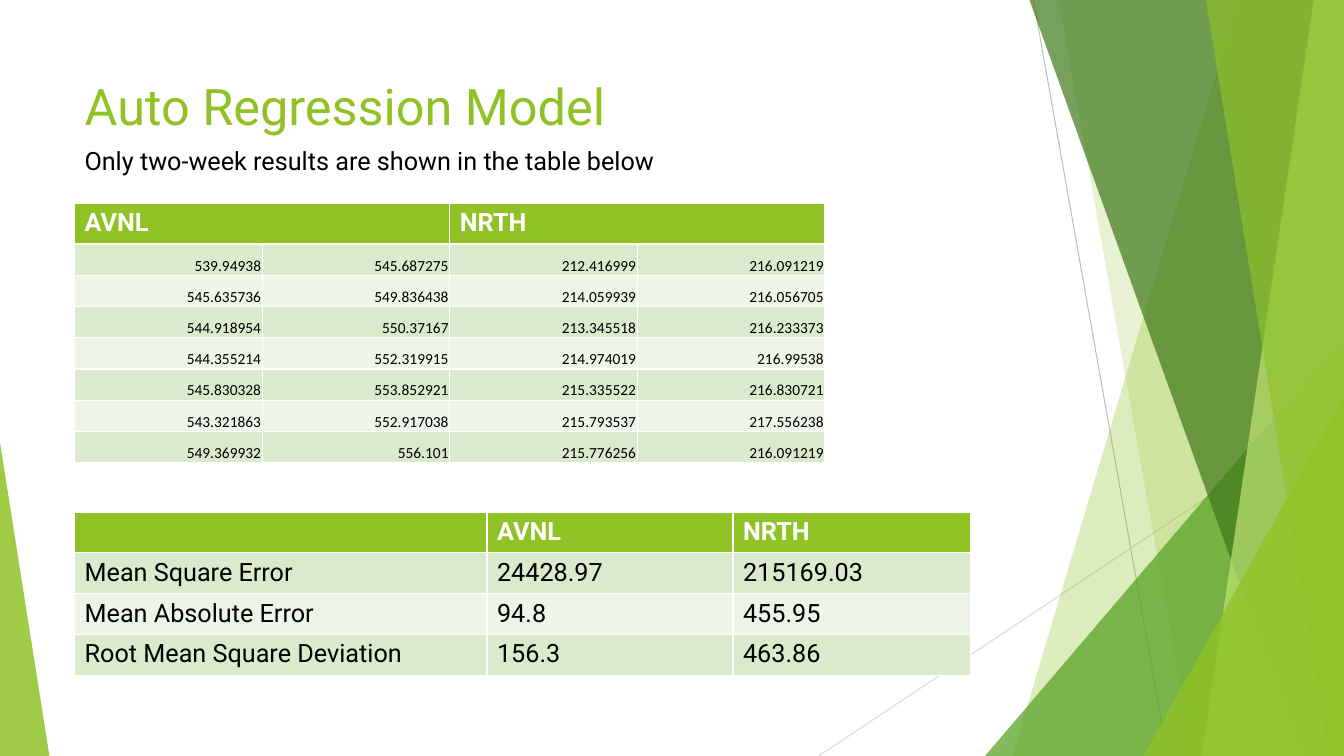
from lxml.etree import SubElement
from pptx import Presentation
from pptx.dml.color import RGBColor
from pptx.enum.shapes import MSO_CONNECTOR, MSO_SHAPE
from pptx.enum.text import MSO_ANCHOR, PP_ALIGN
from pptx.oxml.ns import qn
from pptx.util import Inches, Pt

# Colours
LIME = RGBColor(0x90, 0xC2, 0x26)
GREEN = RGBColor(0x54, 0xA0, 0x21)
FOREST = RGBColor(0x3F, 0x78, 0x19)
PALE_LIME = RGBColor(0xC0, 0xE4, 0x74)
BANDS = (RGBColor(0xDB, 0xE9, 0xCD), RGBColor(0xEE, 0xF4, 0xE8))
GREY = RGBColor(0xBF, 0xBF, 0xBF)
LIGHT_GREY = RGBColor(0xD9, 0xD9, 0xD9)
WHITE = RGBColor(0xFF, 0xFF, 0xFF)
BLACK = RGBColor(0, 0, 0)

# Content
TITLE = "Auto Regression Model"
SUBTITLE = "Only two-week results are shown in the table below"
STOCKS = ("AVNL", "NRTH")
FORECASTS = [
    ("539.94938", "545.687275", "212.416999", "216.091219"),
    ("545.635736", "549.836438", "214.059939", "216.056705"),
    ("544.918954", "550.37167", "213.345518", "216.233373"),
    ("544.355214", "552.319915", "214.974019", "216.99538"),
    ("545.830328", "553.852921", "215.335522", "216.830721"),
    ("543.321863", "552.917038", "215.793537", "217.556238"),
    ("549.369932", "556.101", "215.776256", "216.091219"),
]
ERRORS = [
    ("Mean Square Error", "24428.97", "215169.03"),
    ("Mean Absolute Error", "94.8", "455.95"),
    ("Root Mean Square Deviation", "156.3", "463.86"),
]

# Layout in inches
WIDTH, HEIGHT, MARGIN = 13.33, 7.5, 0.74
RAYS = [  # top x, bottom x, colour
    (10.25, 11.58, GREY),
    (15.05 + 4.34, 8.12, LIGHT_GREY),
]
RAYS[1] = (WIDTH, 8.12, LIGHT_GREY)
RAY_TOPS = (0, 4.03)
FACETS = [  # top x, bottom x of the slanted edge, colour, opacity
    (12.28, 10.04, LIME, 30),
    (10.5, 11.83, LIME, 20),
    (9.77, None, GREEN, 72),
    (10.21, 12.91, FOREST, 70),
    (13.03, 11.92, PALE_LIME, 70),
    (11.96, 13.18, LIME, 65),
    (11.34, None, LIME, 80),
    (0, None, LIME, 85),
]
CORNERS = {  # left: width, height, apex share
    9.77: (3.56, 4.17, 1),
    11.34: (1.99, 3.57, 1),
    0: (0.49, 3.11, 0),
}

# Text formats
HEADING = dict(name="Roboto", size=Pt(36), color=LIME, bold=False)
PLAIN = dict(name="Roboto", size=Pt(18), color=BLACK, bold=False)
HEADER = {**PLAIN, "color": WHITE, "bold": True}
FIGURE = {**PLAIN, "name": "Calibri", "size": Pt(11)}
TIGHT = dict(margin_left=Inches(0.01), margin_right=Inches(0.01),
             margin_top=Inches(0.01), margin_bottom=0,
             vertical_anchor=MSO_ANCHOR.BOTTOM)


def write(frame, text, style, align=PP_ALIGN.LEFT):
    paragraph = frame.paragraphs[0]
    paragraph.text, paragraph.alignment = text, align
    for key, value in style.items():
        if key == "color":
            paragraph.font.color.rgb = value
        else:
            setattr(paragraph.font, key, value)


def paint(facet, color, opacity):
    facet.shadow.inherit = False
    facet.line.fill.background()
    facet.fill.solid()
    facet.fill.fore_color.rgb = color
    tint = facet.fill._xPr.find(".//" + qn("a:srgbClr"))
    SubElement(tint, qn("a:alpha"), val=str(opacity * 1000))


def add_grid(top, columns, row_heights, rows, body, align=PP_ALIGN.LEFT, cell_format=None):
    """Table with a lime header row and banded body rows."""
    grid = slide.shapes.add_table(
        len(rows), len(columns), Inches(MARGIN), Inches(top),
        Inches(sum(columns)), Inches(sum(row_heights))).table
    for column, width in zip(grid.columns, columns):
        column.width = Inches(width)
    for r, (values, height) in enumerate(zip(rows, row_heights)):
        grid.rows[r].height = Inches(height)
        for c, value in enumerate(values):
            cell = grid.cell(r, c)
            cell.fill.solid()
            cell.fill.fore_color.rgb = BANDS[(r - 1) % 2] if r else LIME
            if r:
                for key, setting in (cell_format or {}).items():
                    setattr(cell, key, setting)
            write(cell.text_frame, value, body if r else HEADER,
                  align if r else PP_ALIGN.LEFT)
    return grid


deck = Presentation()
deck.slide_width, deck.slide_height = Inches(WIDTH), Inches(HEIGHT)
slide = deck.slides.add_slide(deck.slide_layouts[5])

# Background rays and facets
for (start, end, color), top in zip(RAYS, RAY_TOPS):
    ray = slide.shapes.add_connector(
        MSO_CONNECTOR.STRAIGHT, Inches(start), Inches(top), Inches(end), Inches(HEIGHT))
    ray.line.color.rgb, ray.line.width = color, Pt(0.75)
    SubElement(ray._element.spPr, qn("a:effectLst"))

for start, end, color, opacity in FACETS:
    if end is None:
        width, height, apex = CORNERS[start]
        facet = slide.shapes.add_shape(
            MSO_SHAPE.ISOSCELES_TRIANGLE, Inches(start), Inches(HEIGHT - height),
            Inches(width), Inches(height))
        facet.adjustments[0] = apex
    else:
        outline = slide.shapes.build_freeform(Inches(start), 0)
        outline.add_line_segments([(Inches(x), Inches(y)) for x, y in (
            (WIDTH, 0), (WIDTH, HEIGHT), (end, HEIGHT))])
        facet = outline.convert_to_shape()
    paint(facet, color, opacity)

# Title and subtitle
title = slide.shapes.title
title.left, title.top, title.width, title.height = map(Inches, (MARGIN, 0.69, 9.4, 1.44))
title.text_frame.vertical_anchor = MSO_ANCHOR.TOP
write(title.text_frame, TITLE, HEADING)

subtitle = slide.shapes.add_textbox(*map(Inches, (MARGIN, 1.39, 7.76, 0.71)))
subtitle.text_frame.word_wrap = True
write(subtitle.text_frame, SUBTITLE, PLAIN)

# Forecast table: each stock heads two columns
forecast_header = (STOCKS[0], "", STOCKS[1], "")
forecast = add_grid(2.02, [1.86] * 4, [0.39] + [0.31] * len(FORECASTS),
                    [forecast_header, *FORECASTS], FIGURE, PP_ALIGN.RIGHT, TIGHT)
for c in (0, 2):
    forecast.cell(0, c).merge(forecast.cell(0, c + 1))

# Error table
add_grid(5.08, [4.09, 2.44, 2.36], [0.405] * (len(ERRORS) + 1),
         [("", *STOCKS), *ERRORS], PLAIN)

deck.save("out.pptx")
